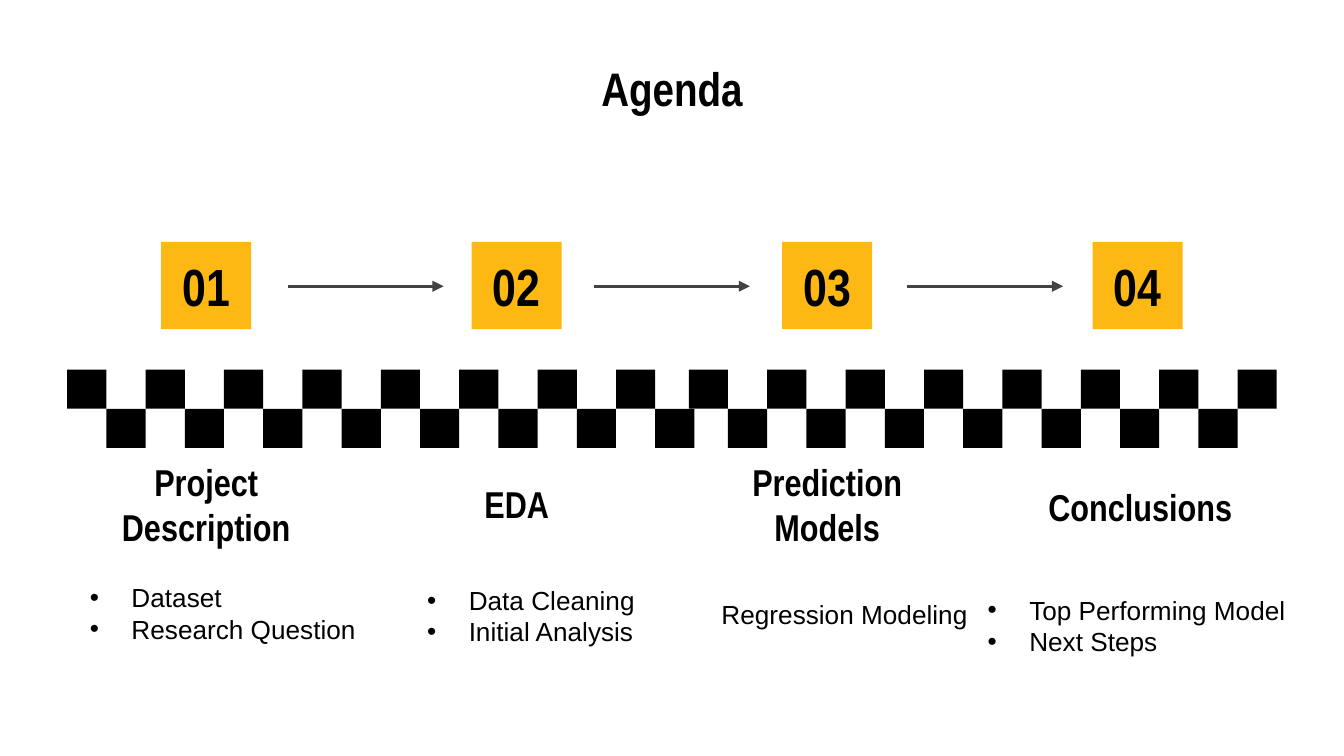
from lxml.etree import SubElement
from pptx import Presentation
from pptx.dml.color import RGBColor
from pptx.enum.shapes import MSO_CONNECTOR as Connector, MSO_SHAPE as Shape
from pptx.enum.text import MSO_ANCHOR as Anchor, MSO_AUTO_SIZE as AutoSize, PP_ALIGN as Align
from pptx.oxml.ns import qn
from pptx.util import Inches, Pt

BLACK = RGBColor(0x00, 0x00, 0x00)
YELLOW = RGBColor(0xFD, 0xB8, 0x13)
GRAY = RGBColor(0x43, 0x43, 0x43)
HEADING_FONT = "Arial Narrow"
BODY_FONT = "Arial"
SLIDE_WIDTH = 10
SLIDE_HEIGHT = SLIDE_WIDTH * 9 / 16
SQUARE = 7 / 24

STEPS = [
    ("01", "Project Description", (0.63, 3.57)),
    ("02", "EDA", (2.94, 3.57)),
    ("03", "Prediction Models", (5.25, 3.57)),
    ("04", "Conclusions", (7.58, 3.59)),
]
DETAILS = [
    (["Dataset", "Research Question"], (0.57, 4.28, 2.19, 0.57)),
    (["Data Cleaning", "Initial Analysis"], (3.08, 4.3, 1.76, 0.57)),
    (["Regression Modeling"], (5.27, 4.4, 2.04, 0.34)),
    (["Top Performing Model", "Next Steps"], (7.25, 4.37, 2.45, 0.57)),
]


def add_bullet(paragraph):
    """Give a paragraph a black bullet with a hanging indent."""
    properties = paragraph._p.get_or_add_pPr()
    properties.set("marL", str(Inches(0.31)))
    properties.set("indent", str(-Inches(0.31)))
    color = SubElement(properties, qn("a:buClr"))
    SubElement(color, qn("a:srgbClr"), val=str(BLACK))
    SubElement(properties, qn("a:buFont"), typeface=BODY_FONT)
    SubElement(properties, qn("a:buChar"), char="•")


def write_text(shape, lines, size, font=HEADING_FONT, bold=True, align=Align.CENTER,
               anchor=Anchor.MIDDLE, margin=0.1, wrap=True, bullets=False):
    """Write one paragraph for each line in the given format."""
    frame = shape.text_frame
    frame.word_wrap = wrap
    frame.auto_size = AutoSize.NONE if wrap else AutoSize.SHAPE_TO_FIT_TEXT
    frame.vertical_anchor = anchor
    frame.margin_left = frame.margin_right = Inches(0.1)
    frame.margin_top = frame.margin_bottom = Inches(margin)
    for index, line in enumerate(lines):
        paragraph = frame.add_paragraph() if index else frame.paragraphs[0]
        paragraph.alignment = align
        if bullets:
            add_bullet(paragraph)
        run = paragraph.add_run()
        run.text = line
        run.font.name = font
        run.font.size = Pt(size)
        run.font.bold = bold
        run.font.color.rgb = BLACK


def add_text(slide, box, lines, size, **text_format):
    """Add a text box holding the given lines."""
    shape = slide.shapes.add_textbox(*map(Inches, box))
    write_text(shape, lines, size, **text_format)


def add_rectangle(slide, box, color):
    """Add a plain filled rectangle."""
    shape = slide.shapes.add_shape(Shape.RECTANGLE, *map(Inches, box))
    shape.shadow.inherit = False
    shape.fill.solid()
    shape.fill.fore_color.rgb = color
    shape.line.fill.background()
    return shape


def add_checker_band(slide, left, top, count):
    """Add squares that alternate between two rows, starting in the upper one."""
    for index in range(count):
        box = (left + index * SQUARE, top + index % 2 * SQUARE, SQUARE, SQUARE)
        add_rectangle(slide, box, BLACK)


def add_step(slide, left, number, heading, heading_position):
    """Add a numbered tile and its heading."""
    add_text(slide, (*heading_position, 1.81, 0.36), [heading], 20)
    tile = add_rectangle(slide, (left, 1.8, 0.67, 0.65), YELLOW)
    write_text(tile, [number], 28)


def add_arrow(slide, left, top, width):
    """Add a horizontal arrow pointing right."""
    arrow = slide.shapes.add_connector(
        Connector.STRAIGHT, *map(Inches, (left, top, left + width, top)))
    arrow.line.color.rgb = GRAY
    arrow.line.width = Pt(1.5)
    SubElement(arrow.line._get_or_add_ln(), qn("a:tailEnd"), type="triangle")
    SubElement(arrow._element.spPr, qn("a:effectLst"))


def add_details(slide, box, lines):
    """Add the details of a step, bulleted when there are several."""
    add_text(slide, box, lines, 14, font=BODY_FONT, bold=False, align=Align.LEFT,
             anchor=Anchor.TOP, margin=0.05, wrap=False, bullets=len(lines) > 1)


def main():
    """Build the agenda slide."""
    presentation = Presentation()
    presentation.slide_width = Inches(SLIDE_WIDTH)
    presentation.slide_height = Inches(SLIDE_HEIGHT)
    slide = presentation.slides.add_slide(presentation.slide_layouts[6])
    add_text(slide, (0.5, 0.45, 9, 0.41), ["Agenda"], 25.2)
    add_checker_band(slide, 0.5, 2.75, 16)
    add_checker_band(slide, 9.5 - 15 * SQUARE, 2.75, 15)
    for index, step in enumerate(STEPS):
        add_step(slide, 1.2 + index * 2.31, *step)
    for left in (2.14, 4.42, 6.75):
        add_arrow(slide, left, 2.13, 1.16)
    for lines, box in DETAILS:
        add_details(slide, box, lines)
    presentation.save("out.pptx")


if __name__ == "__main__":
    main()
